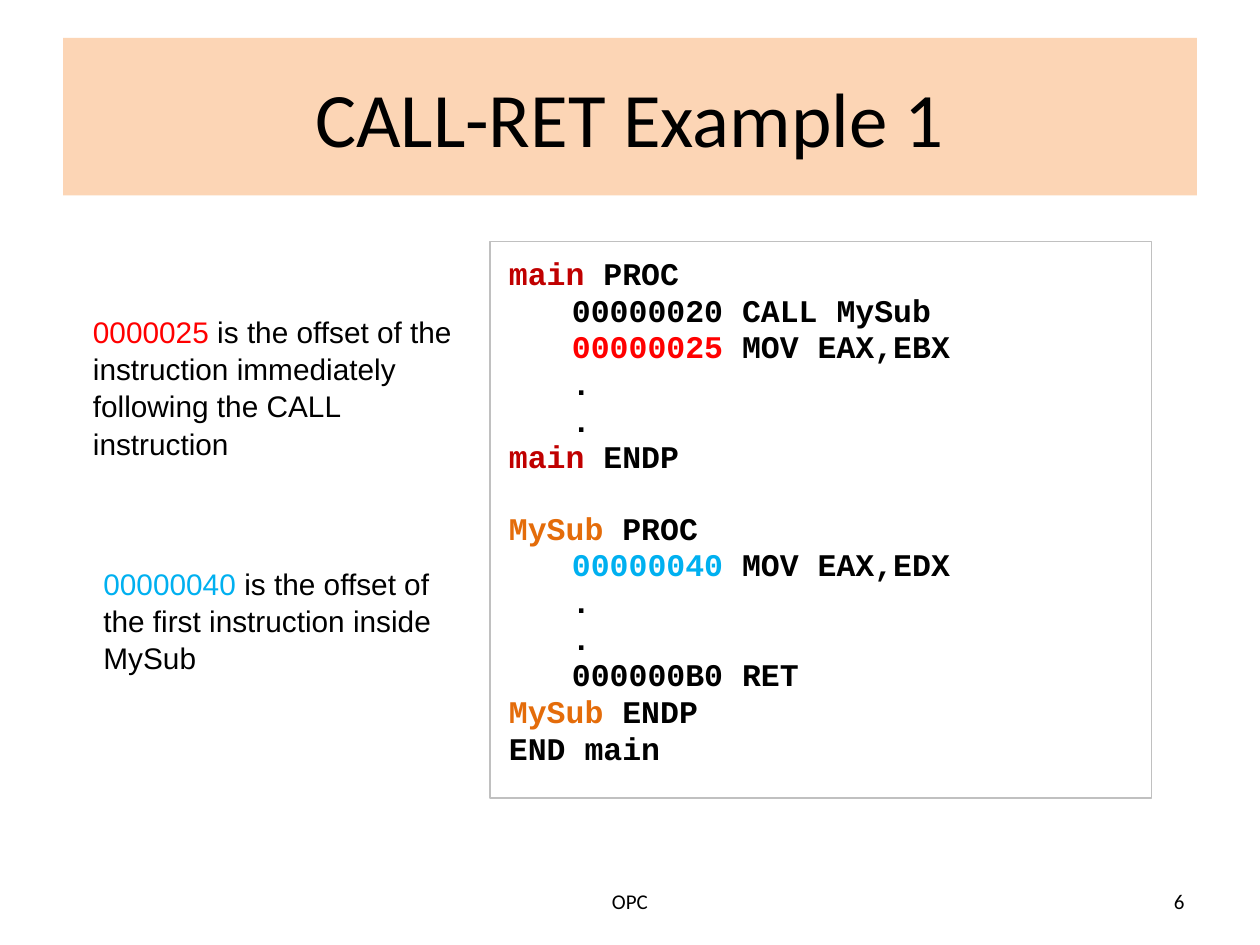
from pptx import Presentation
from pptx.dml.color import RGBColor
from pptx.enum.shapes import MSO_SHAPE
from pptx.enum.text import MSO_ANCHOR, PP_ALIGN
from pptx.util import Pt

BLACK, RED, DARK_RED, ORANGE, BLUE = "000000", "FF0000", "C00000", "E46C0A", "00B0F0"
LINE_PITCH = 19.8


def color(hex_string):
    return RGBColor.from_string(hex_string)


def write(para, spans, font, size, bold=False, align=PP_ALIGN.LEFT, spacing=1.0, before=0):
    """Fill a paragraph with (text, colour) spans."""
    para.alignment = align
    para.line_spacing = spacing
    para.space_before = Pt(before)
    for text, hex_string in spans:
        span = para.add_run()
        span.text = text
        span.font.name = font
        span.font.size = Pt(size)
        span.font.bold = bold
        span.font.color.rgb = color(hex_string)


deck = Presentation()
deck.slide_width, deck.slide_height = Pt(720), Pt(540)
page = deck.slides.add_slide(deck.slide_layouts[5])

# Title band
title = page.shapes.title
title.left, title.top, title.width, title.height = Pt(36), Pt(21.6), Pt(648), Pt(90)
title.fill.solid()
title.fill.fore_color.rgb = color("FCD5B5")
title.text_frame.vertical_anchor = MSO_ANCHOR.MIDDLE
write(title.text_frame.paragraphs[0], [("CALL-RET Example 1", BLACK)],
      font="Calibri", size=44, align=PP_ALIGN.CENTER)

# Footer and page number
for text, left, width, align in [("OPC", 246, 228, PP_ALIGN.CENTER),
                                 ("6", 516, 168, PP_ALIGN.RIGHT)]:
    frame = page.shapes.add_textbox(Pt(left), Pt(500.5), Pt(width), Pt(28.8)).text_frame
    frame.word_wrap = True
    frame.vertical_anchor = MSO_ANCHOR.MIDDLE
    write(frame.paragraphs[0], [(text, BLACK)], font="Calibri", size=12, align=align)

# Code listing: indent, lines of skipped space above, spans
code_lines = [
    (0, 0, [("main", DARK_RED), (" PROC", BLACK)]),
    (36, 0, [("00000020 CALL MySub", BLACK)]),
    (36, 0, [("00000025", RED), (" MOV EAX,EBX", BLACK)]),
    (36, 0, [(".", BLACK)]),
    (36, 0, [(".", BLACK)]),
    (0, 0, [("main", DARK_RED), (" ENDP", BLACK)]),
    (0, 1, [("MySub", ORANGE), (" PROC", BLACK)]),
    (36, 0, [("00000040", BLUE), (" MOV EAX,EDX", BLACK)]),
    (36, 0, [(".", BLACK)]),
    (36, 0, [(".", BLACK)]),
    (36, 0, [("000000B0 RET", BLACK)]),
    (0, 0, [("MySub", ORANGE), (" ENDP", BLACK)]),
    (0, 0, [("END main", BLACK)]),
]
code_box = page.shapes.add_shape(MSO_SHAPE.RECTANGLE, Pt(280), Pt(138), Pt(378), Pt(318))
code_box.shadow.inherit = False
code_box.fill.background()
code_box.line.color.rgb = color("C0C0C0")
code_box.line.width = Pt(0.75)
frame = code_box.text_frame
frame.word_wrap = True
frame.vertical_anchor = MSO_ANCHOR.TOP
frame.margin_left = frame.margin_right = Pt(10.8)
frame.margin_top = frame.margin_bottom = Pt(8.4)
for number, (indent, skipped, spans) in enumerate(code_lines):
    para = frame.add_paragraph() if number else frame.paragraphs[0]
    write(para, spans, font="Courier New", size=18, bold=True,
          spacing=0.97, before=skipped * LINE_PITCH)
    if indent:
        para.level = 1
        properties = para._p.get_or_add_pPr()
        properties.set("marL", str(Pt(indent)))
        properties.set("indent", "0")

# Notes beside the code
notes = [
    (46, 167.8, 104.4, [("0000025", RED),
     (" is the offset of the instruction immediately following the CALL instruction", BLACK)]),
    (52, 311.8, 83.5, [("00000040", BLUE),
     (" is the offset of the first instruction inside MySub", BLACK)]),
]
for left, top, height, spans in notes:
    frame = page.shapes.add_textbox(Pt(left), Pt(top), Pt(221.8), Pt(height)).text_frame
    frame.word_wrap = True
    frame.margin_left = frame.margin_right = Pt(7.2)
    frame.margin_top = frame.margin_bottom = Pt(10.8)
    write(frame.paragraphs[0], spans, font="Arial", size=17, spacing=1.04)

deck.save("out.pptx")
